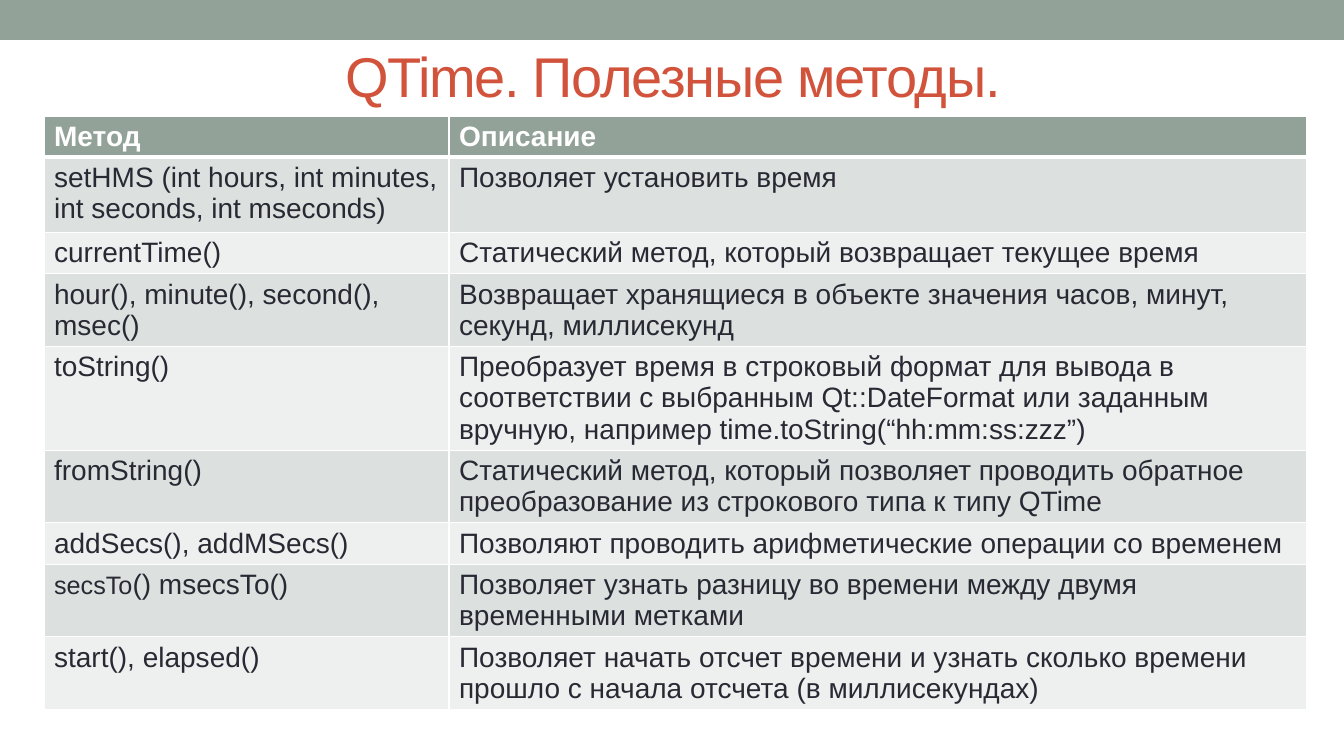
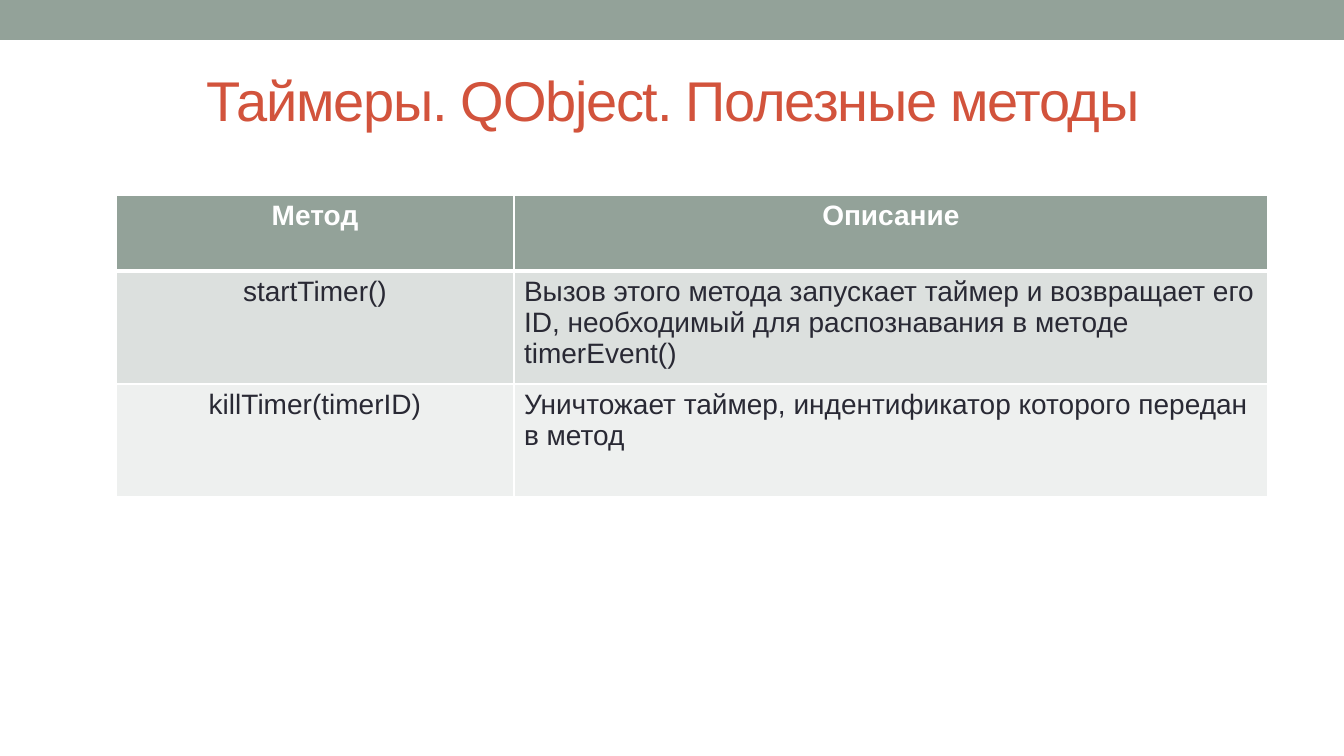
"""Build two slides on Qt time and timer methods, each with a title and a table."""
from lxml.etree import fromstring
from pptx import Presentation
from pptx.dml.color import RGBColor
from pptx.enum.shapes import MSO_SHAPE as Shape
from pptx.enum.text import MSO_ANCHOR as Anchor, MSO_AUTO_SIZE as AutoSize, PP_ALIGN as Align
from pptx.oxml.ns import nsdecls, qn
from pptx.util import Emu, Pt

SLIDE_WIDTH, SLIDE_HEIGHT, BAND_HEIGHT = 1344, 756, 40
TITLE_LEFT, TITLE_WIDTH, TITLE_HEIGHT = 68, 1210, 109
FONT, TITLE_SIZE, TABLE_SIZE = "Arial", 40, 20
SAGE, RUST, INK, WHITE = "93A299", "D2533C", "292934", "FFFFFF"
ROW_FILLS = ("EEF0EF", "DCE0DE")
HEADER = ("Метод", "Описание")

SLIDES = [
    {
        "title": "QTime. Полезные методы.",
        "title_top": 21,
        "table_at": (44, 116),
        "columns": (405, 858),
        "row_heights": (41, 75, 41, 72, 104, 72, 41, 72, 72),
        "centred": False,
        "rows": [
            HEADER,
            ("setHMS (int hours, int minutes, int seconds, int mseconds)",
             "Позволяет установить время"),
            ("currentTime()", "Статический метод, который возвращает текущее время"),
            ("hour(), minute(), second(), msec()",
             "Возвращает хранящиеся в объекте значения часов, минут, секунд, миллисекунд"),
            ("toString()",
             "Преобразует время в строковый формат для вывода в соответствии с выбранным "
             "Qt::DateFormat или заданным вручную, например time.toString(“hh:mm:ss:zzz”)"),
            ("fromString()",
             "Статический метод, который позволяет проводить обратное преобразование "
             "из строкового типа к типу QTime"),
            ("addSecs(), addMSecs()",
             "Позволяют проводить арифметические операции со временем"),
            ([("secsTo", 18), ("() msecsTo()", TABLE_SIZE)],
             "Позволяет узнать разницу во времени между двумя временными метками"),
            ("start(), elapsed()",
             "Позволяет начать отсчет времени и узнать сколько времени прошло "
             "с начала отсчета (в миллисекундах)"),
        ],
    },
    {
        "title": "Таймеры. QObject. Полезные методы",
        "title_top": 45,
        "table_at": (116, 195),
        "columns": (398, 754),
        "row_heights": (76, 113, 113),
        "centred": True,
        "rows": [
            HEADER,
            ("startTimer()",
             "Вызов этого метода запускает таймер и возвращает его ID, необходимый "
             "для распознавания в методе timerEvent()"),
            ("killTimer(timerID)",
             "Уничтожает таймер, индентификатор которого передан в метод"),
        ],
    },
]


def px(length):
    return Emu(round(length * 914400 / 100.8))


def colour(value):
    return RGBColor.from_string(value)


def format_run(run, size, text_colour, bold=False):
    font = run.font
    font.name, font.size, font.bold = FONT, Pt(size), bold
    font.color.rgb = colour(text_colour)


def add_band(slide):
    band = slide.shapes.add_shape(Shape.RECTANGLE, 0, 0, px(SLIDE_WIDTH), px(BAND_HEIGHT))
    band.shadow.inherit = False
    band.fill.solid()
    band.fill.fore_color.rgb = colour(SAGE)
    band.line.fill.background()
    slide.shapes.element.insert(2, band.element)


def set_title(slide, text, top):
    title = slide.shapes.title
    title.left, title.top = px(TITLE_LEFT), px(top)
    title.width, title.height = px(TITLE_WIDTH), px(TITLE_HEIGHT)
    frame = title.text_frame
    frame.text = text
    frame.word_wrap = True
    frame.auto_size = AutoSize.NONE
    frame.vertical_anchor = Anchor.MIDDLE
    paragraph = frame.paragraphs[0]
    paragraph.alignment = Align.CENTER
    format_run(paragraph.runs[0], TITLE_SIZE, RUST)
    for properties in title.element.iter(qn("a:rPr")):
        properties.set("spc", "-90")


def set_borders(cell_properties, row):
    widths = {"L": 1, "R": 1, "T": 3 if row == 1 else 1, "B": 3 if row == 0 else 1}
    for position, (side, width) in enumerate(widths.items()):
        border = fromstring(
            f'<a:ln{side} {nsdecls("a")} w="{Pt(width)}"><a:solidFill>'
            f'<a:srgbClr val="{WHITE}"/></a:solidFill></a:ln{side}>')
        cell_properties.insert(position, border)


def fill_cell(cell, content, row, centred):
    header = row == 0
    cell.fill.solid()
    cell.fill.fore_color.rgb = colour(SAGE if header else ROW_FILLS[row % 2])
    paragraph = cell.text_frame.paragraphs[0]
    paragraph.alignment = Align.CENTER if centred else Align.LEFT
    runs = [(content, TABLE_SIZE)] if isinstance(content, str) else content
    for text, size in runs:
        run = paragraph.add_run()
        run.text = text
        format_run(run, size, WHITE if header else INK, header)


def add_method_table(slide, data):
    rows, columns, heights = data["rows"], data["columns"], data["row_heights"]
    left, top = data["table_at"]
    graphic = slide.shapes.add_table(
        len(rows), len(columns), px(left), px(top), px(sum(columns)), px(sum(heights)))
    table = graphic.table
    table.horz_banding = False
    for column, width in zip(table.columns, columns):
        column.width = px(width)
    for table_row, height in zip(table.rows, heights):
        table_row.height = px(height)
    for row, contents in enumerate(rows):
        for column, content in enumerate(contents):
            centred = data["centred"] and (row == 0 or column == 0)
            fill_cell(table.cell(row, column), content, row, centred)
    for index, cell_properties in enumerate(graphic.element.iter(qn("a:tcPr"))):
        set_borders(cell_properties, index // len(columns))


def main():
    presentation = Presentation()
    presentation.slide_width, presentation.slide_height = px(SLIDE_WIDTH), px(SLIDE_HEIGHT)
    layout = presentation.slide_layouts.get_by_name("Title Only")
    for data in SLIDES:
        slide = presentation.slides.add_slide(layout)
        add_band(slide)
        set_title(slide, data["title"], data["title_top"])
        add_method_table(slide, data)
    presentation.save("out.pptx")


if __name__ == "__main__":
    main()
